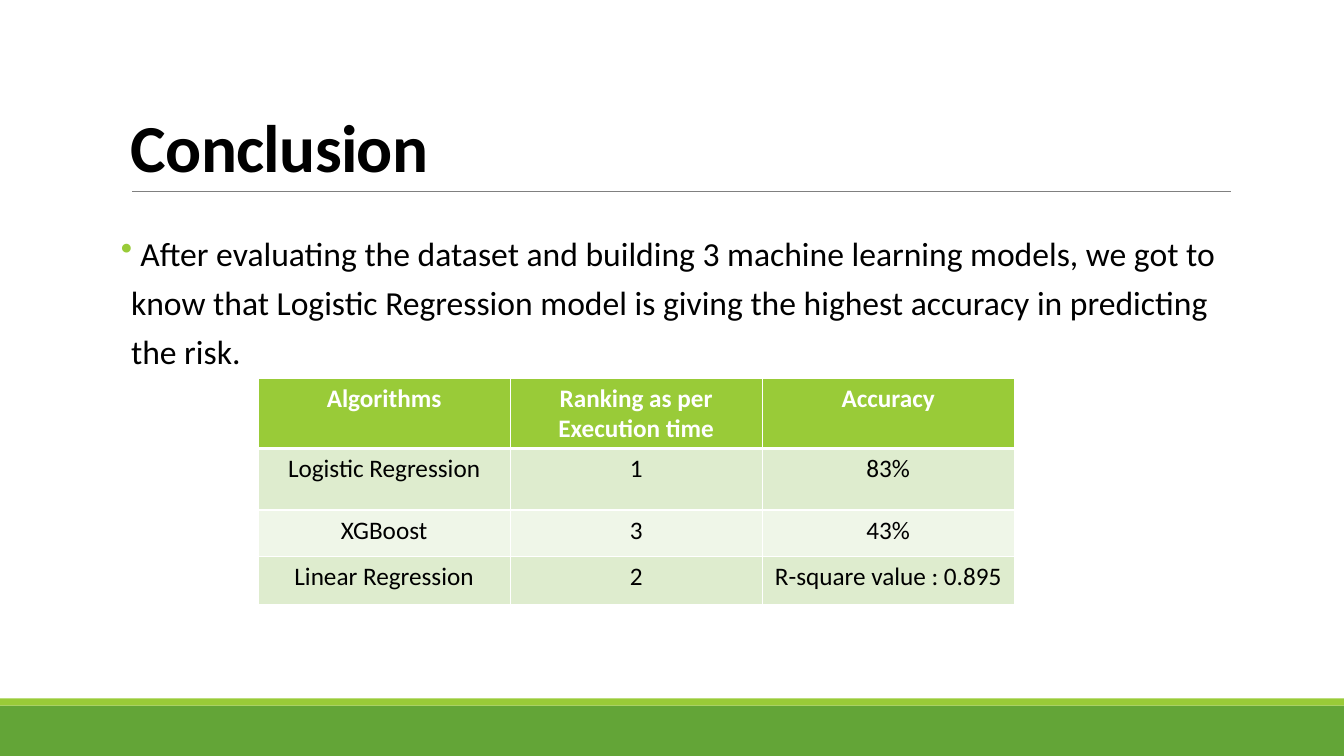
from lxml.etree import SubElement
from pptx import Presentation
from pptx.dml.color import RGBColor
from pptx.enum.shapes import MSO_CONNECTOR, MSO_SHAPE
from pptx.enum.text import MSO_ANCHOR, PP_ALIGN
from pptx.oxml import parse_xml
from pptx.oxml.ns import nsdecls, qn
from pptx.util import Inches, Pt

COLORS = {
    "green": "63A537", "lime": "99CB38", "gray": "808080",
    "black": "000000", "white": "FFFFFF", "band": "DEECCE", "pale": "EFF6E8",
}
ROWS = [
    ["Algorithms", "Ranking as per Execution time", "Accuracy"],
    ["Logistic Regression", "1", "83%"],
    ["XGBoost", "3", "43%"],
    ["Linear Regression", "2", "R-square value : 0.895"],
]


def rgb(name):
    return RGBColor.from_string(COLORS[name])


def write(frame, text, size, color="black", bold=False, align=PP_ALIGN.LEFT,
          track=None, **space):
    """Fill a text frame with one paragraph and return that paragraph."""
    para = frame.paragraphs[0]
    para.alignment = align
    for key, value in space.items():
        setattr(para, key, value)
    run = para.add_run()
    run.text = text
    font = run.font
    font.name, font.size, font.bold = "Calibri", Pt(size), bold
    font.color.rgb = rgb(color)
    if track is not None:
        font._element.set("spc", str(int(track * 100)))
    return para


def bullet(para, mark, color, indent):
    props = para._p.get_or_add_pPr()
    props.set("marL", str(Inches(indent)))
    props.set("indent", str(-Inches(indent)))
    tint = SubElement(props, qn("a:buClr"))
    SubElement(tint, qn("a:srgbClr"), val=COLORS[color])
    SubElement(props, qn("a:buChar"), char=mark)


def border(cell, color, **widths):
    """Set cell edges, given in points by side: L, R, T, B."""
    props = cell._tc.get_or_add_tcPr()
    for spot, (side, width) in enumerate(widths.items()):
        props.insert(spot, parse_xml(
            f'<a:ln{side} {nsdecls("a")} w="{Pt(width)}"><a:solidFill>'
            f'<a:srgbClr val="{COLORS[color]}"/></a:solidFill></a:ln{side}>'))


class Board:
    def __init__(self, slide):
        self.slide = slide
        self.shapes = slide.shapes

    def bar(self, left, top, width, height, color):
        shape = self.shapes.add_shape(
            MSO_SHAPE.RECTANGLE, *map(Inches, (left, top, width, height)))
        shape.shadow.inherit = False
        shape.fill.solid()
        shape.fill.fore_color.rgb = rgb(color)
        shape.line.fill.background()

    def rule(self, left, right, top, color, width):
        line = self.shapes.add_connector(
            MSO_CONNECTOR.STRAIGHT, *map(Inches, (left, top, right, top)))
        line.line.color.rgb = rgb(color)
        line.line.width = Pt(width)
        SubElement(line._element.spPr, qn("a:effectLst"))

    def text(self, left, top, width, height, text, size, inset=0.1,
             anchor=MSO_ANCHOR.TOP, **style):
        box = self.shapes.add_textbox(*map(Inches, (left, top, width, height)))
        frame = box.text_frame
        frame.word_wrap = True
        frame.vertical_anchor = anchor
        frame.margin_left = frame.margin_right = Inches(inset)
        return write(frame, text, size, **style)

    def table(self, left, top, width, heights, rows):
        table = self.shapes.add_table(
            len(rows), len(rows[0]), Inches(left), Inches(top),
            Inches(width), Inches(sum(heights))).table
        table.horz_banding = False
        for r, (height, row) in enumerate(zip(heights, rows)):
            table.rows[r].height = Inches(height)
            head = r == 0
            fill = "lime" if head else "band" if r % 2 else "pale"
            for c, value in enumerate(row):
                cell = table.cell(r, c)
                cell.fill.solid()
                cell.fill.fore_color.rgb = rgb(fill)
                border(cell, "white", L=1, R=1, T=3 if r == 1 else 1,
                       B=3 if head else 1)
                write(cell.text_frame, value, 18, bold=head,
                      color="white" if head else "black",
                      align=PP_ALIGN.CENTER)


def main():
    deck = Presentation()
    deck.slide_width, deck.slide_height = Inches(13.33), Inches(7.5)
    board = Board(deck.slides.add_slide(deck.slide_layouts[6]))
    board.bar(0, 7, 13.33, 0.5, "green")
    board.bar(0, 6.93, 13.33, 0.07, "lime")
    board.rule(1.31, 12.21, 1.9, "gray", 0.5)
    board.text(1.2, 0.31, 11, 1.59, "Conclusion", 48, bold=True, track=-0.5,
               anchor=MSO_ANCHOR.BOTTOM, line_spacing=0.85)
    body = board.text(
        1.2, 2.17, 11, 1.58,
        " After evaluating the dataset and building 3 machine learning models, "
        "we got to know that Logistic Regression model is giving the highest "
        "accuracy in predicting the risk.",
        24, inset=0, line_spacing=1.22, space_before=Pt(12), space_after=Pt(2))
    bullet(body, "•", "lime", 0.1)
    board.table(2.56, 3.75, 7.5, [0.48, 0.61, 0.46, 0.48], ROWS)
    deck.save("out.pptx")


if __name__ == "__main__":
    main()
